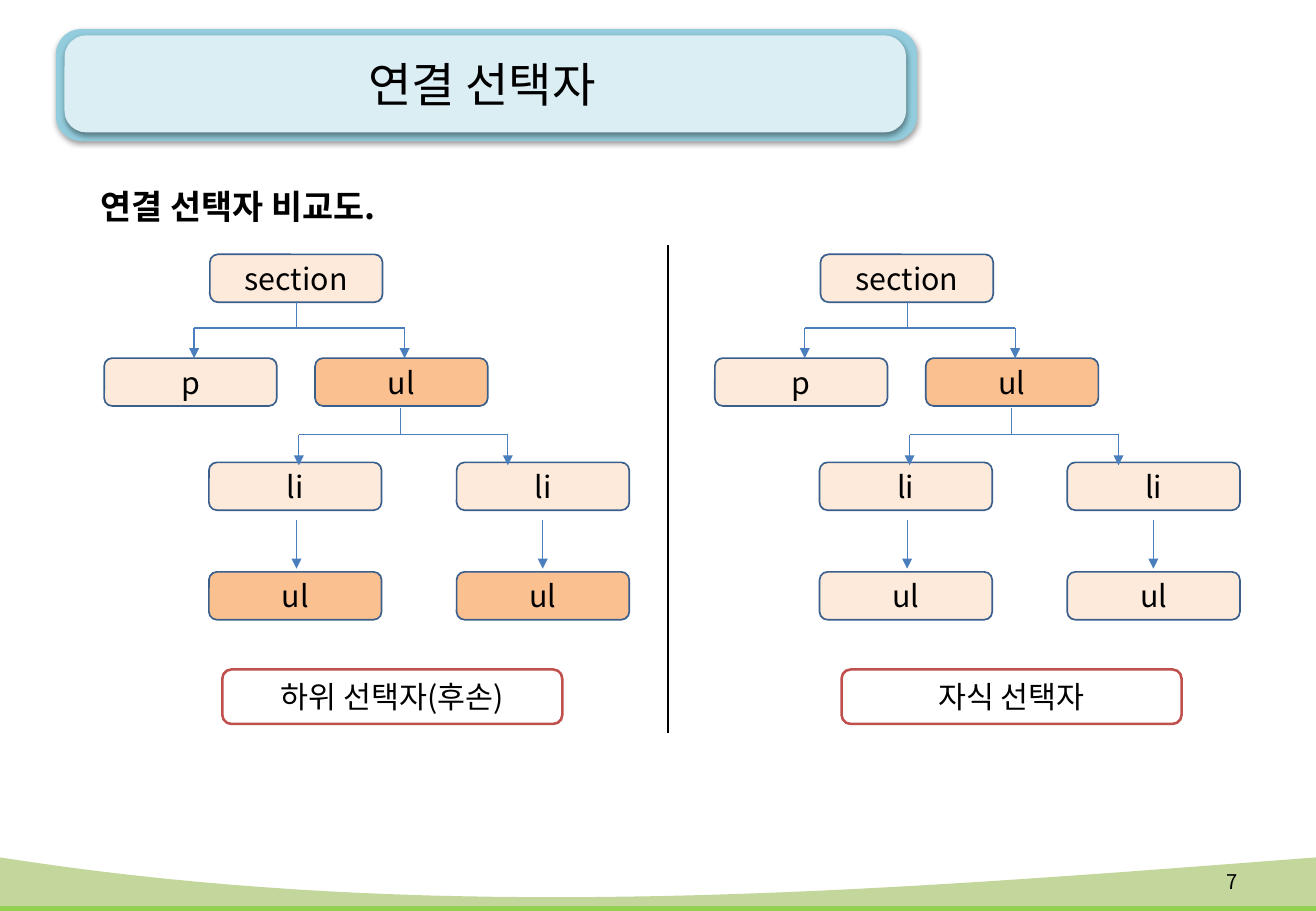
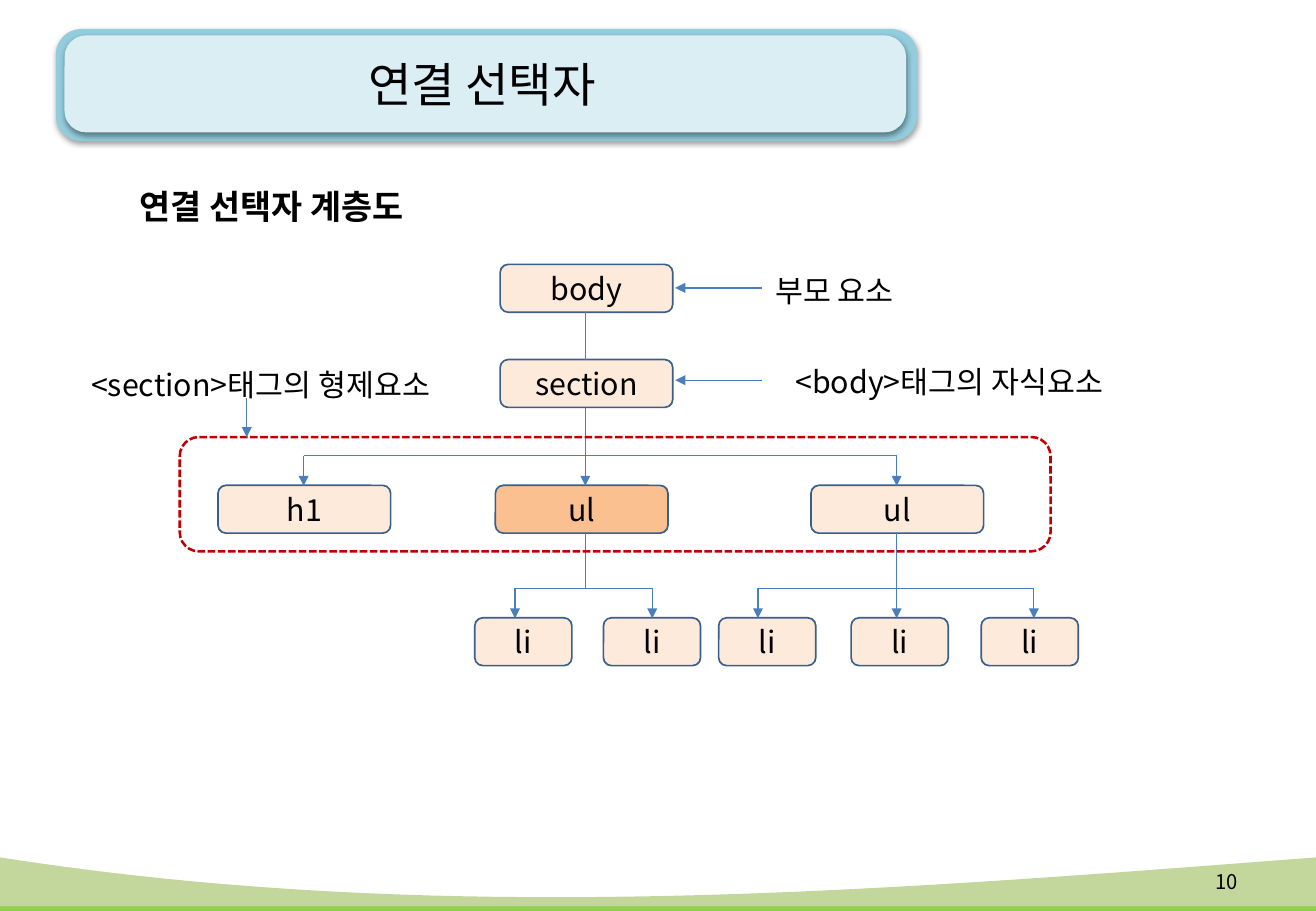
import lxml.etree
import pptx
import pptx.dml.color
import pptx.enum.dml
import pptx.enum.shapes
import pptx.enum.text
import pptx.oxml.ns
import pptx.util

Cm = pptx.util.Cm
Pt = pptx.util.Pt
qn = pptx.oxml.ns.qn
ALIGN = pptx.enum.text.PP_ALIGN
ANCHOR = pptx.enum.text.MSO_ANCHOR

FONT = "Noto Sans CJK KR"
WIDTH, HEIGHT = 27.52, 19.05
NODE_WIDTH, NODE_HEIGHT = 3.61, 1.0
COLORS = {
    "text": "000000",
    "white": "FFFFFF",
    "frame": "93CDDD",
    "panel": "DBEEF4",
    "wave": "C3D69B",
    "strip": "92D050",
    "node": "FDEADA",
    "selected": "FAC090",
    "node_line": "3A5F8C",
    "arrow": "4B7EBC",
    "caption": "C0504D",
    "siblings": "C00000",
}
FORMATS = {
    "title": {"size": Pt(28), "bold": False, "name": FONT},
    "heading": {"size": Pt(20), "bold": True, "name": FONT},
    "body": {"size": Pt(18), "bold": False, "name": FONT},
    "number": {"size": Pt(12), "bold": False, "name": FONT},
}


def color(name):
    return pptx.dml.color.RGBColor.from_string(COLORS[name])


def set_values(target, values):
    for name, value in values.items():
        setattr(target, name, value)


def place(shape, left, top, width, height):
    set_values(shape, {"left": Cm(left), "top": Cm(top), "width": Cm(width), "height": Cm(height)})


def curve(start, first, second, end, steps=40):
    for step in range(steps + 1):
        t = step / steps
        weights = ((1 - t) ** 3, 3 * t * (1 - t) ** 2, 3 * t ** 2 * (1 - t), t ** 3)
        points = (start, first, second, end)
        yield tuple(Cm(sum(w * p[axis] for w, p in zip(weights, points))) for axis in (0, 1))


class Slides:
    def __init__(self):
        self.deck = pptx.Presentation()
        set_values(self.deck, {"slide_width": Cm(WIDTH), "slide_height": Cm(HEIGHT)})
        self.layout = self.deck.slide_layouts[5]
        self.page = None

    def start(self, title, heading, heading_left, number):
        first = self.page is None
        self.page = self.deck.slides.add_slide(self.layout)
        if first:
            self.decorate_layout()
        box = self.page.shapes.title
        place(box, 1.17, 0.56, 17.81, 2.39)
        self.set_text(box, title, "title")
        self.text(heading, (heading_left, 3.33, 12.09, 1.55), "heading", ALIGN.LEFT, ANCHOR.TOP, 1.5)
        self.text(number, (24.59, 17.93, 1.55, 1.02), "number", ALIGN.RIGHT)

    def decorate_layout(self):
        for holder in list(self.layout.placeholders):
            if holder.placeholder_format.idx:
                holder.element.getparent().remove(holder.element)
        parts = [
            self.wave("strip", 18.39, 19.3, 18.87, HEIGHT),
            self.frame("frame", 1.17, 0.61, 18.01, 2.34),
            self.frame("panel", 1.35, 0.74, 17.6, 2.03),
            self.wave("wave", 17.93, 19.38, 18.64, 18.95),
        ]
        for part in parts:
            self.layout.shapes.element.append(part.element)

    def paint(self, shape, fill=None, line=None, width=1):
        shape.shadow.inherit = False
        if fill:
            shape.fill.solid()
            shape.fill.fore_color.rgb = color(fill)
        else:
            shape.fill.background()
        if line:
            shape.line.color.rgb = color(line)
            shape.line.width = Pt(width)
        else:
            shape.line.fill.background()
        return shape

    def wave(self, fill, top, first, second, bottom):
        points = list(curve((0, top), (9.25, first), (18.26, second), (WIDTH, top)))
        points += [(Cm(WIDTH), Cm(bottom)), (Cm(0), Cm(bottom))]
        builder = self.page.shapes.build_freeform(*points[0])
        builder.add_line_segments(points[1:], close=True)
        return self.paint(builder.convert_to_shape(), fill)

    def rounded(self, area, fill=None, line=None, width=1):
        kind = pptx.enum.shapes.MSO_SHAPE.ROUNDED_RECTANGLE
        shape = self.page.shapes.add_shape(kind, *map(Cm, area))
        return self.paint(shape, fill, line, width)

    def frame(self, fill, *area):
        shape = self.rounded(area, fill)
        shape.adjustments[0] = 0.225
        effects = shape.element.spPr.find(qn("a:effectLst"))
        shadow = lxml.etree.SubElement(
            effects, qn("a:outerShdw"), blurRad="40000", dist="20000", dir="5400000", rotWithShape="0")
        tint = lxml.etree.SubElement(shadow, qn("a:srgbClr"), val=COLORS["text"])
        lxml.etree.SubElement(tint, qn("a:alpha"), val="38000")
        return shape

    def set_text(self, box, words, style, align=ALIGN.CENTER, anchor=ANCHOR.MIDDLE, spacing=None):
        frame = box.text_frame
        set_values(frame, {"word_wrap": True, "vertical_anchor": anchor})
        para = frame.paragraphs[0]
        set_values(para, {"alignment": align, "line_spacing": spacing})
        span = para.add_run()
        span.text = words
        set_values(span.font, FORMATS[style])
        span.font.color.rgb = color("text")
        lxml.etree.SubElement(span.font._element, qn("a:ea"), typeface=FONT)

    def text(self, words, area, style="body", align=ALIGN.CENTER, anchor=ANCHOR.MIDDLE, spacing=None):
        box = self.page.shapes.add_textbox(*map(Cm, area))
        self.set_text(box, words, style, align, anchor, spacing)

    def node(self, words, left, top, fill="node", width=NODE_WIDTH):
        self.set_text(self.rounded((left, top, width, NODE_HEIGHT), fill, "node_line"), words, "body")

    def caption(self, words, left):
        self.set_text(self.rounded((left, 14, 7.11, 1.14), "white", "caption", 1.5), words, "body")

    def line(self, start, end, arrow=False, stroke="arrow", width=0.75):
        kind = pptx.enum.shapes.MSO_CONNECTOR.STRAIGHT
        connector = self.page.shapes.add_connector(kind, *map(Cm, start + end))
        connector.line.color.rgb = color(stroke)
        connector.line.width = Pt(width)
        properties = connector.element.spPr
        if arrow:
            lxml.etree.SubElement(properties.find(qn("a:ln")), qn("a:tailEnd"), type="triangle")
        lxml.etree.SubElement(properties, qn("a:effectLst"))

    def fork(self, stem, top, bar, bottom, branches):
        self.line((stem, top), (stem, bar))
        self.line((branches[0], bar), (branches[-1], bar))
        for branch in branches:
            self.line((branch, bar), (branch, bottom), arrow=True)

    def tree(self, shift, leaf_fill):
        self.node("section", 4.39 + shift, 5.32)
        self.node("p", 2.18 + shift, 7.49)
        self.node("ul", 6.59 + shift, 7.49, "selected")
        for left, center in ((4.37, 6.2), (9.55, 11.35)):
            self.node("li", left + shift, 9.67)
            self.node("ul", left + shift, 11.96, leaf_fill)
            self.line((center + shift, 10.87), (center + shift, 11.89), arrow=True)
        self.fork(6.2 + shift, 6.3, 6.86, 7.49, (4.06 + shift, 8.46 + shift))
        self.fork(8.38 + shift, 8.53, 9.09, 9.73, (6.25 + shift, 10.62 + shift))


def comparison(slides):
    slides.start("연결 선택자", "연결 선택자 비교도.", 1.85, "7")
    slides.tree(0, "selected")
    slides.tree(12.77, "node")
    slides.line((13.97, 5.13), (13.97, 15.32), stroke="text", width=1)
    slides.caption("하위 선택자(후손)", 4.65)
    slides.caption("자식 선택자", 17.6)


def hierarchy(slides):
    slides.start("연결 선택자", "연결 선택자 계층도", 2.67, "10")
    center, right = 12.24, 18.75
    slides.node("body", 10.46, 5.53)
    slides.node("section", 10.46, 7.52)
    slides.node("h1", 4.56, 10.15)
    slides.node("ul", 10.36, 10.15, "selected")
    slides.node("ul", 16.96, 10.15)
    for left in (9.93, 12.62, 15.03, 17.8, 20.52):
        slides.node("li", left, 12.92, width=2.03)
    slides.line((center, 6.53), (center, 7.52))
    slides.fork(center, 8.53, 9.53, 10.16, (6.35, center, right))
    slides.fork(center, 11.13, 12.3, 12.93, (10.77, 13.64))
    slides.fork(right, 11.13, 12.3, 12.93, (15.85, right, 21.62))
    siblings = slides.rounded((3.76, 9.14, 18.21, 2.39), line="siblings", width=1.5)
    siblings.line.dash_style = pptx.enum.dml.MSO_LINE.SQUARE_DOT
    for y in (6.02, 7.95):
        slides.line((15.93, y), (14.12, y), arrow=True)
    slides.line((5.16, 8.33), (5.16, 9.14), arrow=True)
    slides.text("부모 요소", (15.75, 5.56, 3.4, 1.02))
    slides.text("<body>태그의 자식요소", (15.75, 7.47, 8.2, 1.02))
    slides.text("<section>태그의 형제요소", (1.35, 7.52, 8.2, 1.02))


def main():
    slides = Slides()
    comparison(slides)
    hierarchy(slides)
    slides.deck.save("out.pptx")


if __name__ == "__main__":
    main()
